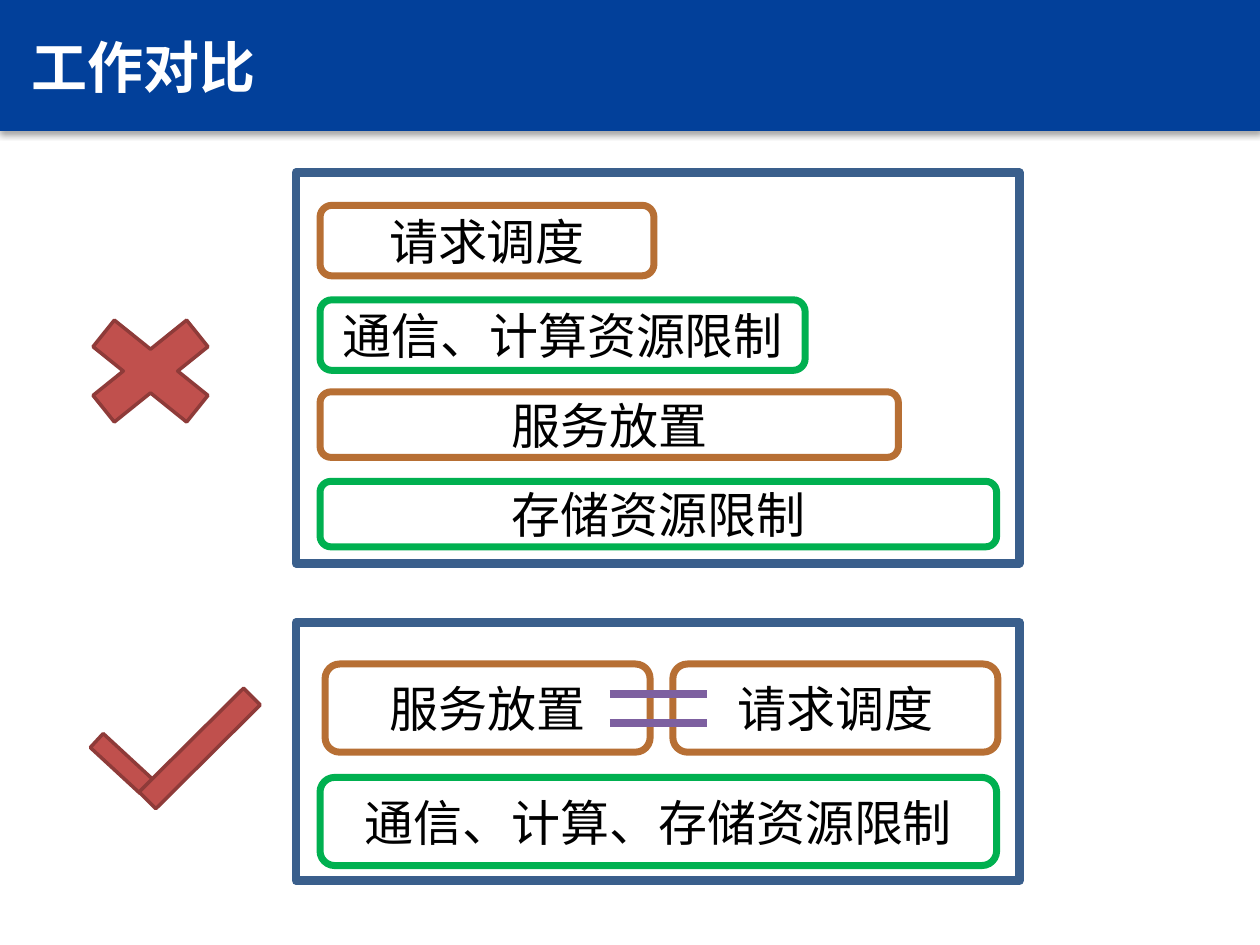
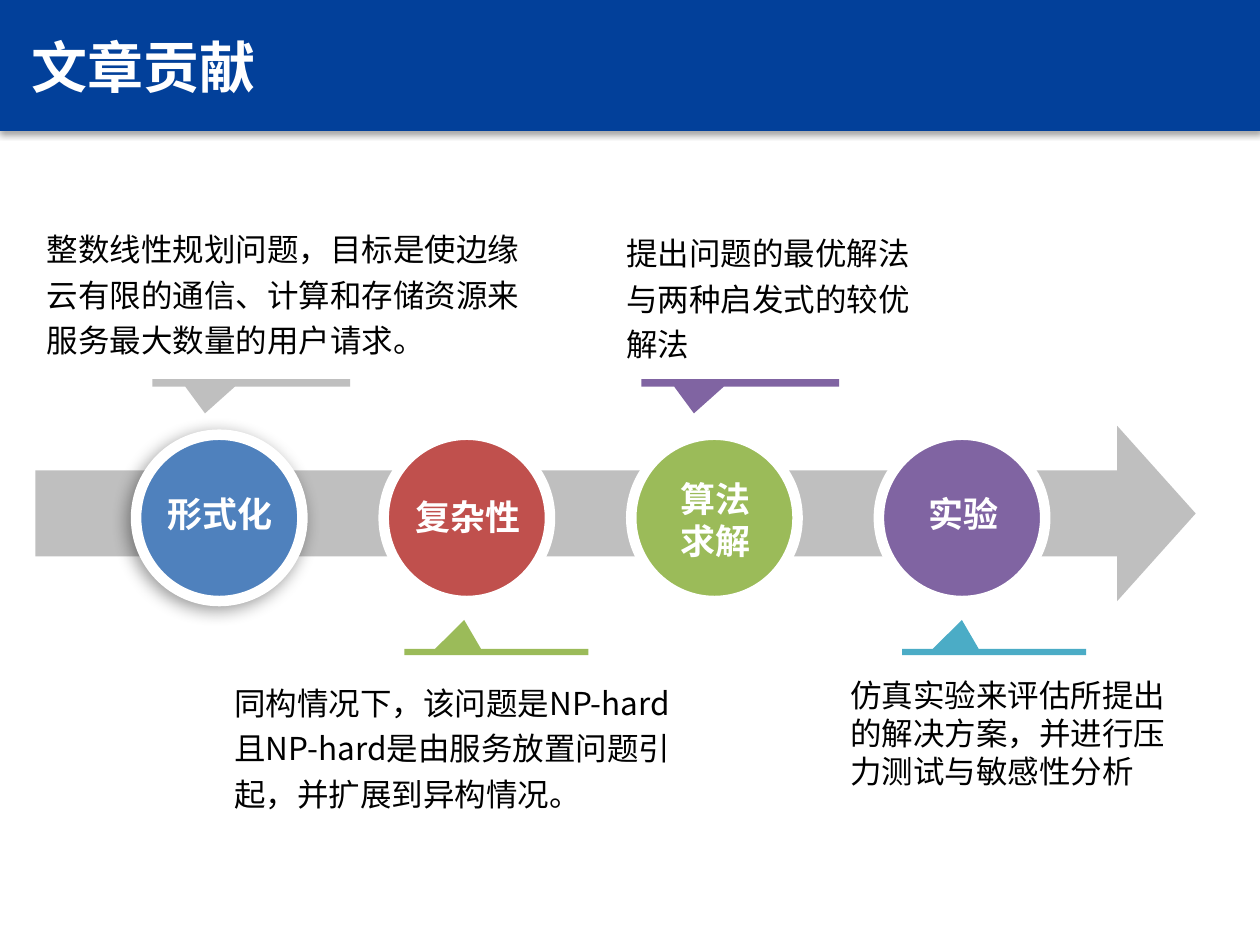
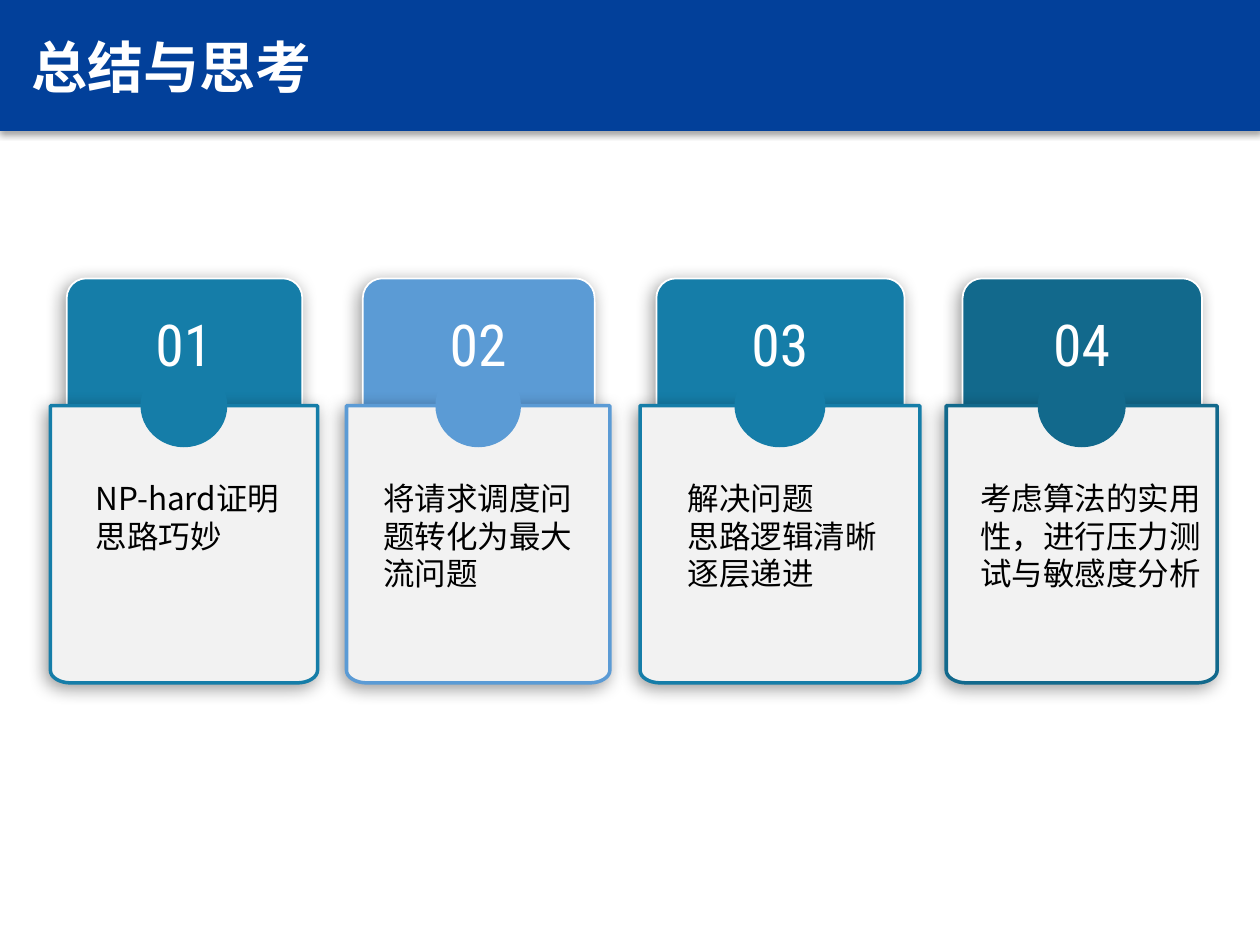
from itertools import cycle
from math import cos, pi, sin

from lxml.etree import SubElement
from pptx import Presentation
from pptx.dml.color import RGBColor
from pptx.enum.shapes import MSO_CONNECTOR, MSO_SHAPE
from pptx.enum.text import MSO_ANCHOR, MSO_AUTO_SIZE, PP_ALIGN
from pptx.oxml.ns import qn
from pptx.util import Inches, Pt

COLS, ROWS = 10, 7.5  # the grid has square cells, one inch wide
SANS, DIGIT, QUICK = "Noto Sans CJK SC", "Roboto Condensed", "Quicksand"
NAVY, WHITE, BLACK = "02409A", "FFFFFF", "000000"
BROWN, GREEN, STEEL, PLUM = "B76F34", "00B050", "3A5F8C", "7D60A0"
RED, MAROON, LIME, VIOLET = "C0504D", "8E3B39", "9BBB59", "8064A2"
BLUE, AQUA, GRAY, PALE = "4F81BD", "4BACC6", "BFBFBF", "F2F2F2"
TEAL, SKY, DEEP = "157DA8", "5B9BD5", "12698C"
SOFT = (40, 10, 3, 135)
SLIM = (32, 3.5, 2.2, 90)


def rgb(code):
    return RGBColor.from_string(code)


def cells(*sizes):
    """Turn grid cells into lengths."""
    return [Inches(size) for size in sizes]


def shade(shape, alpha, blur, dist, angle):
    """Cast a black outer shadow; alpha in percent, blur and dist in points."""
    effects = shape.element.spPr.find(qn("a:effectLst"))
    outer = SubElement(effects, qn("a:outerShdw"), blurRad=str(Pt(blur)),
                       dist=str(Pt(dist)), dir=str(angle * 60000),
                       algn="ctr", rotWithShape="0")
    tint = SubElement(outer, qn("a:srgbClr"), val=BLACK)
    SubElement(tint, qn("a:alpha"), val=str(alpha * 1000))


def paint(shape, fill=None, line=None, width=1, shadow=None):
    shape.shadow.inherit = False
    if fill:
        shape.fill.solid()
        shape.fill.fore_color.rgb = rgb(fill)
    else:
        shape.fill.background()
    if line:
        shape.line.color.rgb = rgb(line)
        shape.line.width = Pt(width)
    else:
        shape.line.fill.background()
    if shadow:
        shade(shape, *shadow)
    return shape


def draw(slide, kind, place, adjust=(), turn=0, **look):
    shape = slide.shapes.add_shape(kind, *cells(*place))
    for i, value in enumerate(adjust):
        shape.adjustments[i] = value
    shape.rotation = turn
    return paint(shape, **look)


def write(shape, text, size=18, color=BLACK, bold=False, faces=(SANS,),
          align=PP_ALIGN.LEFT, anchor=MSO_ANCHOR.TOP, pad=(0.1, 0.05),
          space=None, grow=False):
    """Fill a shape with one paragraph a line, taking the faces in turn."""
    frame = shape.text_frame
    frame.word_wrap = True
    frame.auto_size = MSO_AUTO_SIZE.SHAPE_TO_FIT_TEXT if grow else MSO_AUTO_SIZE.NONE
    frame.vertical_anchor = anchor
    frame.margin_left = frame.margin_right = Inches(pad[0])
    frame.margin_top = frame.margin_bottom = Inches(pad[1])
    frame.text = text
    for para, face in zip(frame.paragraphs, cycle(faces)):
        para.alignment = align
        if space:
            para.line_spacing = space
        font = para.runs[0].font
        font.name, font.size, font.bold = face, Pt(size), bold
        font.color.rgb = rgb(color)
    for latin in list(shape.element.iter(qn("a:latin"))):
        east = SubElement(latin.getparent(), qn("a:ea"), typeface=latin.get("typeface"))
        latin.addnext(east)


def note(slide, text, place, **style):
    write(slide.shapes.add_textbox(*cells(*place)), text, **style)


def page(deck, text, width):
    """Add a slide with the navy band behind its title."""
    slide = deck.slides.add_slide(deck.slide_layouts[5])
    title = slide.shapes.title
    title.left, title.top, title.width, title.height = cells(0.15, 0.21, width, 0.64)
    write(title, text, size=32, color=WHITE, bold=True, grow=True)
    band = draw(slide, MSO_SHAPE.RECTANGLE, (0, -0.03, COLS, 1.07),
                fill=NAVY, shadow=SLIM)
    title.element.addprevious(band.element)
    return slide


def label(slide, text, place, color):
    shape = draw(slide, MSO_SHAPE.ROUNDED_RECTANGLE, place, line=color, width=4)
    write(shape, text, size=28, align=PP_ALIGN.CENTER, anchor=MSO_ANCHOR.MIDDLE)


def stroke(slide, left, right, y):
    line = slide.shapes.add_connector(MSO_CONNECTOR.STRAIGHT, *cells(left, y, right, y))
    line.line.color.rgb = rgb(PLUM)
    line.line.width = Pt(4.5)
    SubElement(line.element.spPr, qn("a:effectLst"))


def compare(deck):
    slide = page(deck, "工作对比", 4.06)
    for top, height in ((1.37, 3.1), (4.94, 2.05)):
        draw(slide, MSO_SHAPE.FLOWCHART_PROCESS, (2.35, top, 5.74, height),
             line=STEEL, width=5)
    for text, left, top, width, height, color in (
            ("请求调度", 2.54, 1.63, 2.65, 0.56, BROWN),
            ("通信、计算资源限制", 2.54, 2.38, 3.85, 0.56, GREEN),
            ("服务放置", 2.54, 3.11, 4.59, 0.52, BROWN),
            ("存储资源限制", 2.54, 3.82, 5.37, 0.52, GREEN),
            ("服务放置", 2.58, 5.27, 2.58, 0.7, BROWN),
            ("请求调度", 5.34, 5.27, 2.58, 0.7, BROWN),
            ("通信、计算、存储资源限制", 2.54, 6.17, 5.37, 0.7, GREEN)):
        label(slide, text, (left, top, width, height), color)
    for kind, place, turn in (
            (MSO_SHAPE.MATH_MULTIPLY, (0.48, 2.37, 1.43, 1.15), 0),
            (MSO_SHAPE.MATH_MINUS, (0.6, 5.74, 0.73, 0.64), 42.7),
            (MSO_SHAPE.MATH_MINUS, (0.79, 5.54, 1.59, 0.8), 315.2)):
        draw(slide, kind, place, turn=turn, fill=RED, line=MAROON, width=2)
    for y in (5.51, 5.74):
        stroke(slide, 4.84, 5.61, y)


def step(slide, left, text, color, top, shadow=None):
    """Place a ringed circle on the arrow, with its name at the given row."""
    draw(slide, MSO_SHAPE.OVAL, (left, 3.45, 1.32, 1.32),
         fill=color, line=WHITE, width=6, shadow=shadow)
    note(slide, text, (left - 0.17, top, 1.68, 0.54), size=20, color=WHITE,
         bold=True, align=PP_ALIGN.CENTER)


def flag(slide, left, color, down):
    if down:
        place, tip = (left, 3.01, 1.57, 0.06), (-0.234, 4.033)
    else:
        place, tip = (left, 5.15, 1.46, 0.05), (-0.175, -5.095)
    draw(slide, MSO_SHAPE.RECTANGULAR_CALLOUT, place, adjust=tip, fill=color)


def gains(deck):
    slide = page(deck, "文章贡献", 3.24)
    draw(slide, MSO_SHAPE.DOWN_ARROW, (4.19, -0.53, 1.39, 9.21),
         adjust=(0.491, 0.448), turn=270, fill=GRAY)
    steps = (("形式化", BLUE, 3.86, SOFT), ("复杂性", RED, 3.88, None),
             ("算法\n求解", LIME, 3.74, None), ("实验", VIOLET, 3.86, None))
    for i, parts in enumerate(steps):
        step(slide, 1.08 + 1.965 * i, *parts)
    for left, color, down in ((1.21, GRAY, True), (3.21, LIME, False),
                              (5.09, VIOLET, True), (7.16, AQUA, False)):
        flag(slide, left, color, down)
    for text, place, space in (
            ("整数线性规划问题，目标是使边缘云有限的通信、计算和存储资源来服务最大数量的用户请求。",
             (0.28, 1.72, 4.09, 1.13), 1.2),
            ("同构情况下，该问题是NP-hard且NP-hard是由服务放置问题引起，并扩展到异构情况。",
             (1.77, 5.32, 3.69, 1.18), 1.2),
            ("提出问题的最优解法与两种启发式的较优解法", (4.88, 1.75, 2.49, 1.18), 1.2),
            ("仿真实验来评估所提出的解决方案，并进行压力测试与敏感性分析",
             (6.66, 5.32, 2.83, 1), None)):
        note(slide, text, place, pad=(0.09, 0.05), space=space, grow=True)


def pocket(slide, left, width, color):
    """Outline a panel whose two lower corners are round."""
    top, base, rx, ry = 3.22, 5.42, 0.16, 0.1
    right = left + width
    arc = [(rx * (1 - cos(i * pi / 16)), ry * (1 - sin(i * pi / 16))) for i in range(9)]
    points = [(right, top)]
    points += [(right - x, base - y) for x, y in arc]
    points += [(left + x, base - y) for x, y in reversed(arc)]
    pen = slide.shapes.build_freeform(*cells(left, top), scale=1.0)
    pen.add_line_segments([cells(*point) for point in points], close=True)
    paint(pen.convert_to_shape(), fill=PALE, line=color, width=2, shadow=SOFT)


def card(slide, number, left, width, color, text, start, span, faces=(SANS,)):
    mid, knob = left + width / 2, width * 0.325
    draw(slide, MSO_SHAPE.ROUNDED_RECTANGLE, (left + 0.13, 2.21, width - 0.25, 1.66),
         adjust=(0.093,), fill=color, line=WHITE, shadow=SOFT)
    pocket(slide, left, width, color)
    draw(slide, MSO_SHAPE.OVAL, (mid - knob / 2, 2.89, knob, 0.66), fill=color)
    pad = (0.07, 0.04)
    note(slide, f"{number:02}", (mid - 0.5, 2.41, 1, 0.71), size=33, color=WHITE,
         faces=(DIGIT,), align=PP_ALIGN.CENTER, pad=pad, grow=True)
    note(slide, text, (start, 3.76, span, 1), faces=faces, pad=pad, grow=True)


def summary(deck):
    slide = page(deck, "总结与思考", 4.43)
    cards = ((0.4, 2.12, TEAL, "NP-hard证明思路巧妙", 0.69, 1.67),
             (2.75, 2.09, SKY, "将请求调度问题转化为最大流问题", 2.97, 1.84),
             (5.08, 2.22, TEAL, "解决问题\n思路逻辑清晰逐层递进", 5.39, 1.78, (QUICK, SANS)),
             (7.51, 2.15, DEEP, "考虑算法的实用性，进行压力测试与敏感度分析", 7.71, 1.89))
    for number, parts in enumerate(cards, 1):
        card(slide, number, *parts)


def main():
    deck = Presentation()
    deck.slide_width, deck.slide_height = cells(COLS, ROWS)
    compare(deck)
    gains(deck)
    summary(deck)
    deck.save("out.pptx")


if __name__ == "__main__":
    main()
